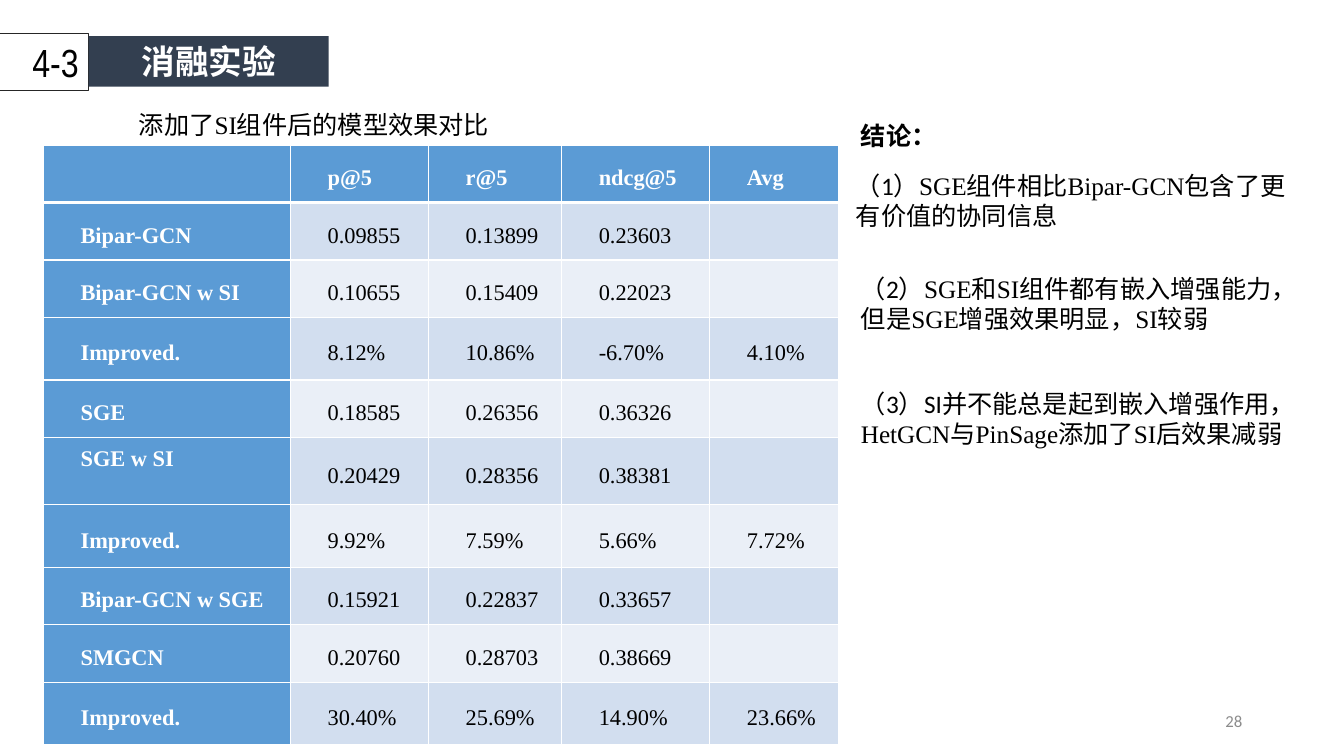
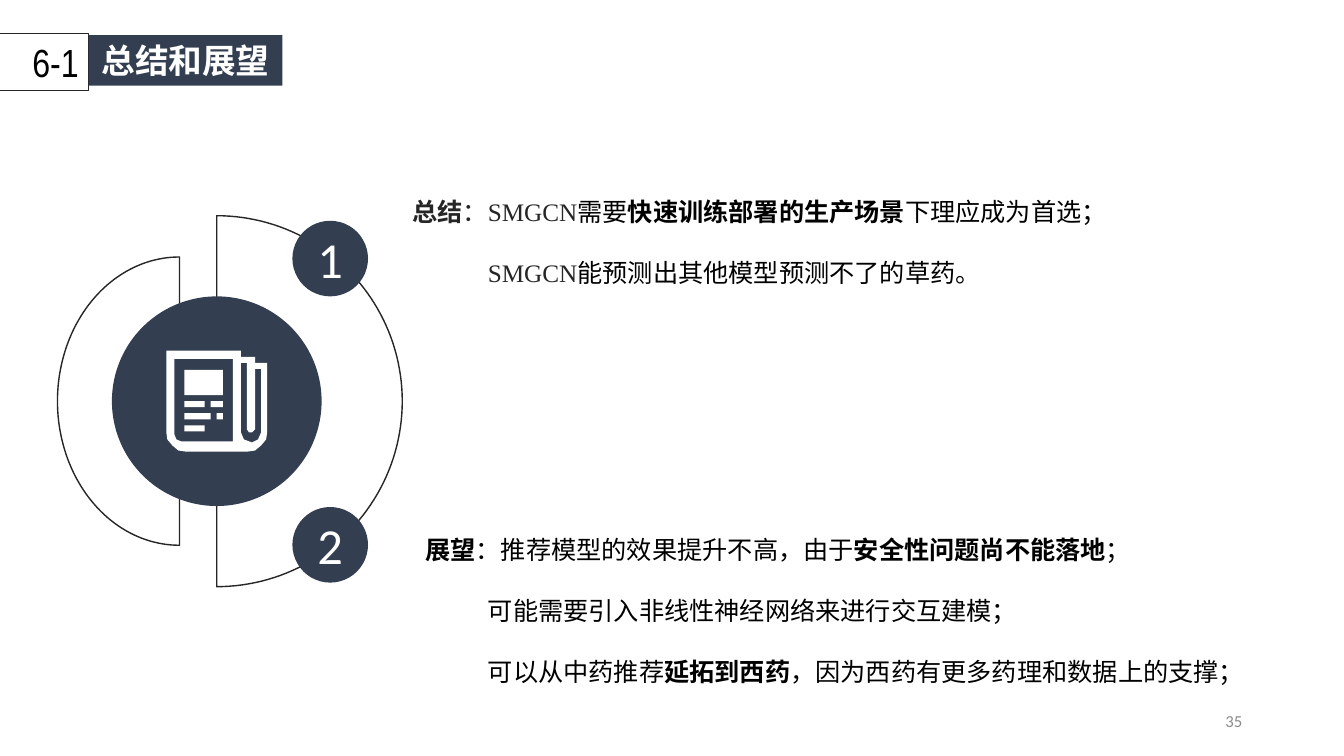
from dataclasses import dataclass
from math import cos, pi, sin

from lxml import etree
from pptx import Presentation
from pptx.dml.color import RGBColor
from pptx.enum.shapes import MSO_SHAPE
from pptx.enum.text import MSO_ANCHOR, PP_ALIGN
from pptx.oxml.ns import qn
from pptx.util import Inches, Pt

RECT, OVAL = MSO_SHAPE.RECTANGLE, MSO_SHAPE.OVAL
LEFT, CENTER, RIGHT = PP_ALIGN.LEFT, PP_ALIGN.CENTER, PP_ALIGN.RIGHT
TOP, MIDDLE = MSO_ANCHOR.TOP, MSO_ANCHOR.MIDDLE


@dataclass(frozen=True)
class Theme:
    navy: str = "333F50"
    line: str = "262626"
    black: str = "000000"
    white: str = "FFFFFF"
    gray: str = "8C8C8C"
    blue: str = "5B9BD5"
    odd: str = "D2DEEF"
    even: str = "EAEFF7"
    sans: str = "Calibri"
    serif: str = "Times New Roman"
    narrow: str = "Arial Narrow"
    han: str = "Noto Sans CJK SC"
    digit: int = 36
    label: int = 28
    title: int = 24
    body: int = 18
    cell: int = 16
    page: int = 12


T = Theme()


def paint(shape, fill=None, line=None, width=1.0):
    """Set fill and outline, without a shadow."""
    shape.shadow.inherit = False
    if fill:
        shape.fill.solid()
        shape.fill.fore_color.rgb = RGBColor.from_string(fill)
    else:
        shape.fill.background()
    if line:
        shape.line.color.rgb = RGBColor.from_string(line)
        shape.line.width = Pt(width)
    else:
        shape.line.fill.background()


def write(frame, lines, size, face=T.serif, ink=T.black, bold=False,
          align=LEFT, anchor=TOP, indent=0, gap=0):
    """Fill a frame; a line is a list of (text, changes) runs."""
    frame.word_wrap = True
    frame.vertical_anchor = anchor
    for i, runs in enumerate(lines):
        para = frame.paragraphs[0] if i == 0 else frame.add_paragraph()
        para.alignment = align
        if i:
            para.space_before = Pt(gap)
            para._p.get_or_add_pPr().set("marL", str(Inches(indent)))
        font = para.font
        font.size, font.name, font.bold = Pt(size), face, bold
        font.color.rgb = RGBColor.from_string(ink)
        base = para._p.pPr.find(qn("a:defRPr"))
        etree.SubElement(base, qn("a:ea"), typeface=T.han)
        for text, diff in runs:
            run = para.add_run()
            run.text = text
            if "face" in diff:
                run.font.name = diff["face"]
            if "bold" in diff:
                run.font.bold = diff["bold"]
            if "ink" in diff:
                run.font.color.rgb = RGBColor.from_string(diff["ink"])


deck = Presentation()
deck.slide_width, deck.slide_height = Inches(13.33), Inches(7.5)

# Shared header and page number
slides = []
for label, title, top, width, page in [("4-3", "消融实验", 0.36, 2.38, "28"),
                                       ("6-1", "总结和展望", 0.35, 1.92, "35")]:
    slide = deck.slides.add_slide(deck.slide_layouts[6])
    slides.append(slide)
    tag = slide.shapes.add_shape(RECT, Inches(-0.02), Inches(0.33), Inches(0.9), Inches(0.57))
    paint(tag, line=T.line, width=0.75)
    write(tag.text_frame, [[(label, {})]], T.label, T.narrow, align=RIGHT)
    band = slide.shapes.add_shape(RECT, Inches(0.88), Inches(top), Inches(width), Inches(0.5))
    paint(band, T.navy)
    write(band.text_frame, [[(title, {})]], T.title, T.han, T.white, True, CENTER)
    foot = slide.shapes.add_textbox(Inches(9.42), Inches(6.95), Inches(3), Inches(0.4))
    write(foot.text_frame, [[(page, {})]], T.page, T.sans, T.gray, align=RIGHT, anchor=MIDDLE)
study, outlook = slides

# Slide 1: results table
rows = [
    ("", "p@5", "r@5", "ndcg@5", "Avg"),
    ("Bipar-GCN", "0.09855", "0.13899", "0.23603", ""),
    ("Bipar-GCN w SI", "0.10655", "0.15409", "0.22023", ""),
    ("Improved.", "8.12%", "10.86%", "-6.70%", "4.10%"),
    ("SGE", "0.18585", "0.26356", "0.36326", ""),
    ("SGE w SI", "0.20429", "0.28356", "0.38381", ""),
    ("Improved.", "9.92%", "7.59%", "5.66%", "7.72%"),
    ("Bipar-GCN w SGE", "0.15921", "0.22837", "0.33657", ""),
    ("SMGCN", "0.20760", "0.28703", "0.38669", ""),
    ("Improved.", "30.40%", "25.69%", "14.90%", "23.66%"),
]
tall = {"Improved.": 0.62, "SGE w SI": 0.67}
table = study.shapes.add_table(len(rows), len(rows[0]), Inches(0.43), Inches(1.44),
                               Inches(7.89), Inches(5.91)).table
for col, width in zip(table.columns, (2.45, 1.37, 1.32, 1.47, 1.28)):
    col.width = Inches(width)
for r, row in enumerate(rows):
    table.rows[r].height = Inches(tall.get(row[0], 0.57))
    for c, text in enumerate(row):
        cell = table.cell(r, c)
        head = r == 0 or c == 0
        cell.margin_left, cell.margin_right = Inches(0.37), Inches(0.04)
        cell.margin_top = cell.margin_bottom = 0
        cell.vertical_anchor = TOP if text == "SGE w SI" else MIDDLE
        # White grid, heavier below the header row
        for side in "LRTB":
            heavy = (r, side) in ((0, "B"), (1, "T"))
            edge = etree.SubElement(cell._tc.get_or_add_tcPr(), qn("a:ln" + side),
                                    w=str(Pt(3 if heavy else 1)))
            fill = etree.SubElement(edge, qn("a:solidFill"))
            etree.SubElement(fill, qn("a:srgbClr"), val=T.white)
        cell.fill.solid()
        shade = T.blue if head else T.odd if r % 2 else T.even
        cell.fill.fore_color.rgb = RGBColor.from_string(shade)
        if text:
            write(cell.text_frame, [[(text, {})]], T.cell,
                  ink=T.white if head else T.black, bold=head)
            cell.text_frame.paragraphs[0].line_spacing = Pt(24)

# Slide 1: caption and conclusions
sans = {"face": T.sans}
for x, y, w, h, runs in [
    (1.28, 1.04, 4.1, 0.4, [("添加了SI组件后的模型效果对比", {})]),
    (8.44, 1.14, 0.95, 0.4, [("结论：", {"bold": True})]),
    (8.39, 1.64, 4.51, 0.71,
     [("（1）", sans), ("SGE组件相比Bipar-GCN包含了更有价值的协同信息", {})]),
    (8.44, 2.66, 4.32, 0.71,
     [("（2）", sans), ("SGE和SI组件都有嵌入增强能力，但是SGE增强效果明显，SI较弱", {})]),
    (8.44, 3.8, 4.4, 0.71,
     [("（3）SI并不能总是起到嵌入增强作用，", sans),
      ("HetGCN与PinSage添加了SI后效果减弱", {})]),
]:
    box = study.shapes.add_textbox(Inches(x), Inches(y), Inches(w), Inches(h))
    write(box.text_frame, [runs], T.body)

# Slide 2: half rings (side is -1 for left, 1 for right)
rings = []
for x, wide, high, side in [(1.78, 1.21, 1.43, -1), (2.15, 1.84, 1.84, 1)]:
    turns = [pi * i / 90 - pi / 2 for i in range(91)]
    rings.append([(x + side * wide * cos(a), 3.98 + high * sin(a)) for a in turns])

# Slide 2: newspaper icon outlines
paper = [
    [(2.46, 4.48), (1.84, 4.48), (1.77, 4.47), (1.71, 4.42), (1.66, 4.36), (1.65, 4.29),
     (1.65, 3.48), (2.39, 3.48), (2.39, 3.54), (2.53, 3.54), (2.53, 3.6), (2.65, 3.6),
     (2.65, 4.29), (2.64, 4.36), (2.59, 4.42), (2.53, 4.47)],
    [(2.31, 3.56), (1.73, 3.56), (1.73, 4.31), (1.75, 4.36), (1.8, 4.38), (2.31, 4.38)],
    [(2.59, 3.66), (2.53, 3.66), (2.53, 4.26), (2.5, 4.29), (2.47, 4.29), (2.45, 4.26),
     (2.45, 3.6), (2.39, 3.6), (2.39, 4.29), (2.42, 4.36), (2.5, 4.39), (2.56, 4.36),
     (2.59, 4.29)],
]
for l, t, r, b in [(1.83, 3.67, 2.21, 3.92), (1.83, 3.98, 2.03, 4.04),
                   (2.09, 3.98, 2.21, 4.04), (1.83, 4.1, 2.09, 4.16),
                   (2.15, 4.1, 2.21, 4.16), (1.83, 4.22, 2.03, 4.28)]:
    paper.append([(l, t), (r, t), (r, b), (l, b)])

# Slide 2: rings, hub and icon, back to front
for loops, fill, line in [([rings[0]], T.white, T.line), ([rings[1]], None, T.line),
                          (None, T.navy, None), (paper, T.white, None)]:
    if loops is None:
        shape = outlook.shapes.add_shape(OVAL, Inches(1.11), Inches(2.94),
                                         Inches(2.08), Inches(2.08))
    else:
        pen = None
        for loop in loops:
            start, *rest = [(Inches(x), Inches(y)) for x, y in loop]
            if pen is None:
                pen = outlook.shapes.build_freeform(*start)
            else:
                pen.move_to(*start)
            pen.add_line_segments(rest, close=True)
        shape = pen.convert_to_shape()
    paint(shape, fill, line)

# Slide 2: numbered dots
for digit, y in [("1", 2.19), ("2", 5.03)]:
    dot = outlook.shapes.add_shape(OVAL, Inches(2.9), Inches(y), Inches(0.75), Inches(0.75))
    paint(dot, T.navy)
    frame = dot.text_frame
    frame.margin_left = frame.margin_right = frame.margin_top = frame.margin_bottom = 0
    write(frame, [[(digit, {})]], T.digit, T.sans, T.white, align=CENTER, anchor=MIDDLE)

# Slide 2: summary and outlook
bold, dark = {"bold": True}, {"ink": T.line}
for x, y, w, h, indent, lines in [
    (3.99, 1.9, 8.27, 1.31, 0.75, [
        [("总结", {"bold": True, "ink": T.line}), ("：SMGCN", dark), ("需要", {}),
         ("快速训练部署的生产场景", bold), ("下理应成为首选；", {})],
        [("SMGCN", dark), ("能预测出其他模型预测不了的草药。", {})]]),
    (4.12, 5.25, 8.92, 1.92, 0.62, [
        [("展望", bold), ("：推荐模型的效果提升不高，由于", {}),
         ("安全性问题尚不能落地", bold), ("；", {})],
        [("可能需要引入非线性神经网络来进行交互建模；", {})],
        [("可以从中药推荐", {}), ("延拓到西药", bold),
         ("，因为西药有更多药理和数据上的支撑；", {})]]),
]:
    box = outlook.shapes.add_textbox(Inches(x), Inches(y), Inches(w), Inches(h))
    write(box.text_frame, lines, T.body, indent=indent, gap=22)

deck.save("out.pptx")
